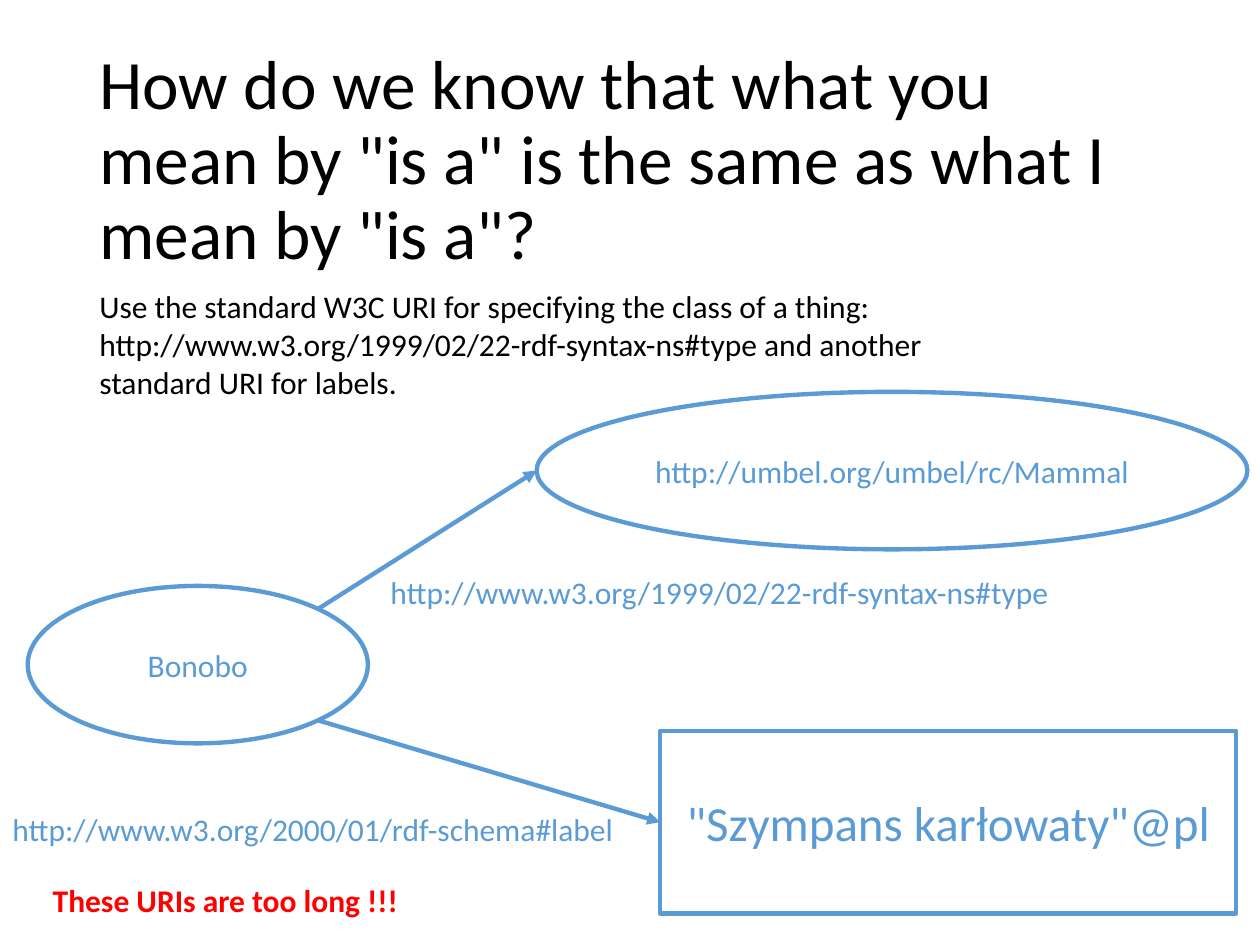
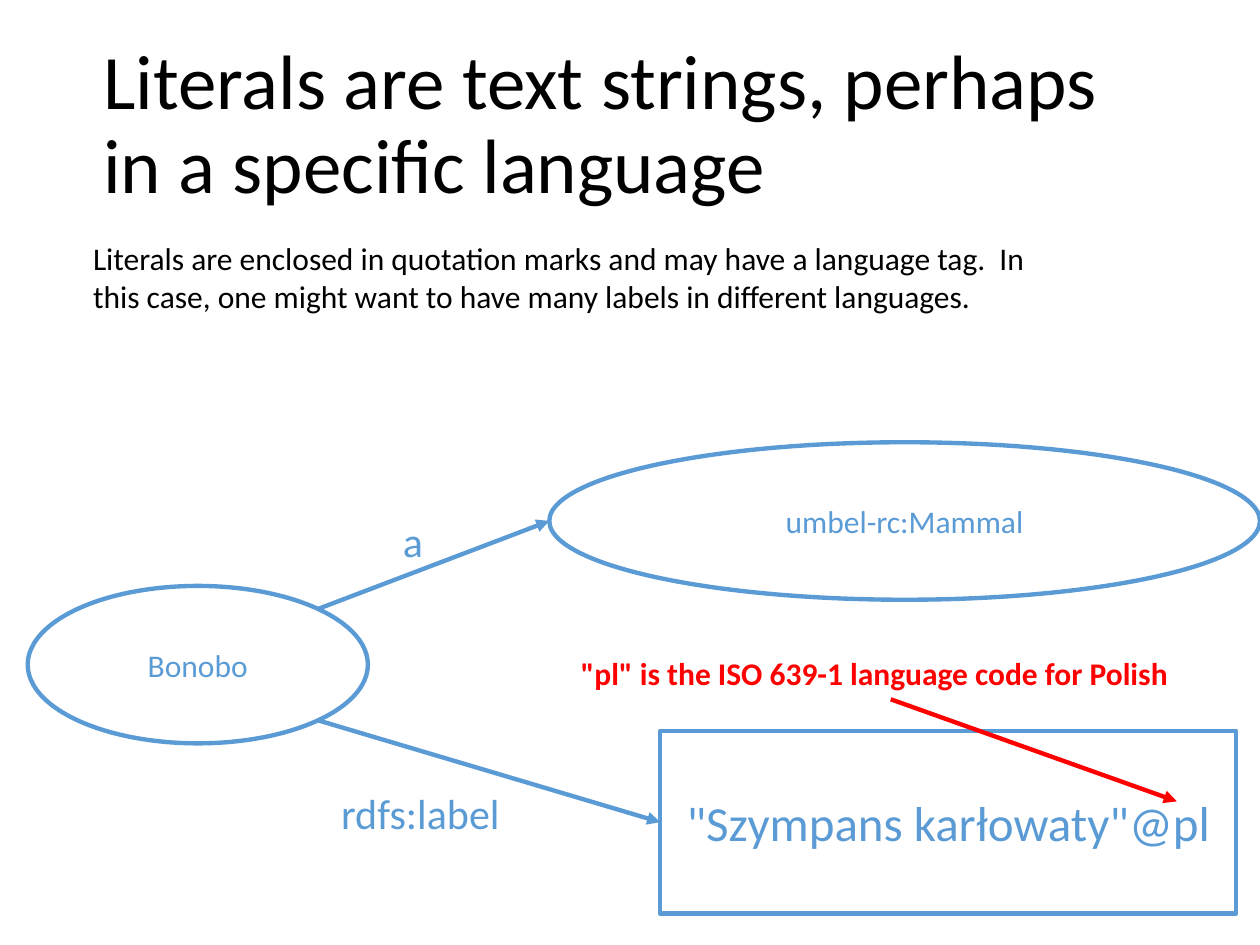
from dataclasses import dataclass
from math import sqrt

from lxml import etree
from pptx import Presentation
from pptx.dml.color import RGBColor
from pptx.enum.shapes import MSO_CONNECTOR, MSO_SHAPE
from pptx.enum.text import MSO_ANCHOR, PP_ALIGN
from pptx.oxml.ns import qn
from pptx.util import Inches, Pt

OVAL, RECT = MSO_SHAPE.OVAL, MSO_SHAPE.RECTANGLE
STRAIGHT = MSO_CONNECTOR.STRAIGHT
LEFT, CENTER = PP_ALIGN.LEFT, PP_ALIGN.CENTER
TOP, MIDDLE = MSO_ANCHOR.TOP, MSO_ANCHOR.MIDDLE
LEFT_SIDE = 1


@dataclass(frozen=True)
class Theme:
    """Colours, type sizes and line width of the deck."""
    font: str = "Calibri"
    ink: str = "000000"
    paper: str = "FFFFFF"
    graph: str = "5B9BD5"
    alert: str = "FF0000"
    title: float = 44
    long_title: float = 39.6
    literal: float = 28
    predicate: float = 24
    body: float = 18
    line: float = 2.5


THEME = Theme()
SUBJECT_BOX = (0.22, 4.65, 2.7, 1.25)
LITERAL_BOX = (5.24, 5.8, 4.57, 1.45)
CLASS_SIZE = (5.64, 1.25)


def write(tf, text, size=THEME.body, color=THEME.ink, bold=False,
          align=LEFT, anchor=TOP, spacing=None, wrap=True):
    """Fill a text frame, one paragraph for each line of text."""
    tf.word_wrap = wrap
    tf.vertical_anchor = anchor
    for i, line in enumerate(text.split("\n")):
        p = tf.add_paragraph() if i else tf.paragraphs[0]
        p.alignment = align
        if spacing:
            p.line_spacing = spacing
        r = p.add_run()
        r.text = line
        r.font.name = THEME.font
        r.font.size = Pt(size)
        r.font.bold = bold
        r.font.color.rgb = RGBColor.from_string(color)


def add_text(s, box, text, **fmt):
    """Add a text box."""
    sp = s.shapes.add_textbox(*map(Inches, box))
    write(sp.text_frame, text, **fmt)


def add_title(s, left, top, text, size=THEME.title):
    """Add the slide title."""
    add_text(s, (left, top, 8.62, 1.77), text, size=size, anchor=MIDDLE, spacing=0.9)


def add_predicate(s, box, text, size=THEME.predicate):
    """Add the label of an arrow."""
    add_text(s, box, text, size=size, color=THEME.graph, wrap=False)


def add_remark(s, box, text):
    """Add a bold warning remark."""
    add_text(s, box, text, color=THEME.alert, bold=True)


def add_node(s, kind, box, text, size=THEME.body):
    """Add an outlined graph node with centred text."""
    sp = s.shapes.add_shape(kind, *map(Inches, box))
    sp.shadow.inherit = False
    sp.fill.background()
    sp.line.color.rgb = RGBColor.from_string(THEME.graph)
    sp.line.width = Pt(THEME.line)
    write(sp.text_frame, text, size=size, color=THEME.graph, align=CENTER, anchor=MIDDLE)
    return sp


def add_arrow(s, start, end, color=THEME.graph, target=None):
    """Add an arrow, joined to the left side of a target if one is given."""
    c = s.shapes.add_connector(STRAIGHT, *map(Inches, (*start, *end)))
    if target is not None:
        c.end_connect(target, LEFT_SIDE)
    c.line.color.rgb = RGBColor.from_string(color)
    c.line.width = Pt(THEME.line)
    etree.SubElement(c.line._get_or_add_ln(), qn("a:tailEnd"), type="triangle")
    etree.SubElement(c._element.spPr, qn("a:effectLst"))


def left_middle(box):
    """Return the middle of a box's left side."""
    left, top, _, height = box
    return left, top + height / 2


def diagonal_point(box, down):
    """Return the right-hand diagonal point of an ellipse; down is -1 or 1."""
    left, top, width, height = box
    return (left + width / 2 * (1 + 1 / sqrt(2)),
            top + height / 2 * (1 + down / sqrt(2)))


def add_graph(s, class_left, class_top, class_name):
    """Add the subject with arrows to its class and to its literal label."""
    class_box = (class_left, class_top, *CLASS_SIZE)
    add_node(s, OVAL, SUBJECT_BOX, "Bonobo")
    add_node(s, OVAL, class_box, class_name)
    add_arrow(s, diagonal_point(SUBJECT_BOX, -1), left_middle(class_box))
    literal = add_node(s, RECT, LITERAL_BOX, '"Szympans karłowaty"@pl', THEME.literal)
    add_arrow(s, diagonal_point(SUBJECT_BOX, 1), left_middle(LITERAL_BOX), target=literal)


def add_slide(prs):
    """Add a blank slide with the paper background."""
    s = prs.slides.add_slide(prs.slide_layouts[6])
    s.background.fill.solid()
    s.background.fill.fore_color.rgb = RGBColor.from_string(THEME.paper)
    return s


def build_uri_slide(prs):
    """Build the slide on standard URIs."""
    s = add_slide(prs)
    add_title(s, 0.69, 0.4, 'How do we know that what you mean by "is a" is the same '
              'as what I mean by "is a"?', THEME.long_title)
    add_graph(s, 4.26, 3.11, "http://umbel.org/umbel/rc/Mammal")
    add_predicate(s, (3, 4.5, 5.5, 0.4),
                  "http://www.w3.org/1999/02/22-rdf-syntax-ns#type", THEME.body)
    add_predicate(s, (0, 6.38, 5.04, 0.4),
                  "http://www.w3.org/2000/01/rdf-schema#label", THEME.body)
    add_text(s, (0.69, 2.23, 7.14, 1.01),
             "Use the standard W3C URI for specifying the class of a thing:\n"
             "http://www.w3.org/1999/02/22-rdf-syntax-ns#type and another "
             "standard URI for labels.")
    add_remark(s, (0.32, 6.94, 4.48, 0.4), "These URIs are too long !!!")


def build_literal_slide(prs):
    """Build the slide on literals and language tags."""
    s = add_slide(prs)
    add_title(s, 0.72, 0.12, "Literals are text strings, perhaps in a specific language")
    add_graph(s, 4.36, 3.51, "umbel-rc:Mammal")
    add_predicate(s, (3.1, 4.04, 0.36, 0.5), "a")
    add_predicate(s, (2.61, 6.2, 1.47, 0.5), "rdfs:label")
    add_text(s, (0.64, 1.85, 7.7, 0.71),
             "Literals are enclosed in quotation marks and may have a language tag.  "
             "In this case, one might want to have many labels in different languages.")
    add_remark(s, (4.51, 5.14, 5.13, 0.4), '"pl" is the ISO 639-1 language code for Polish')
    add_arrow(s, (7.07, 5.55), (9.34, 6.36), color=THEME.alert)


def main():
    """Build and save the deck."""
    prs = Presentation()
    prs.slide_width, prs.slide_height = Inches(10), Inches(7.5)
    build_uri_slide(prs)
    build_literal_slide(prs)
    prs.save("out.pptx")


if __name__ == "__main__":
    main()
